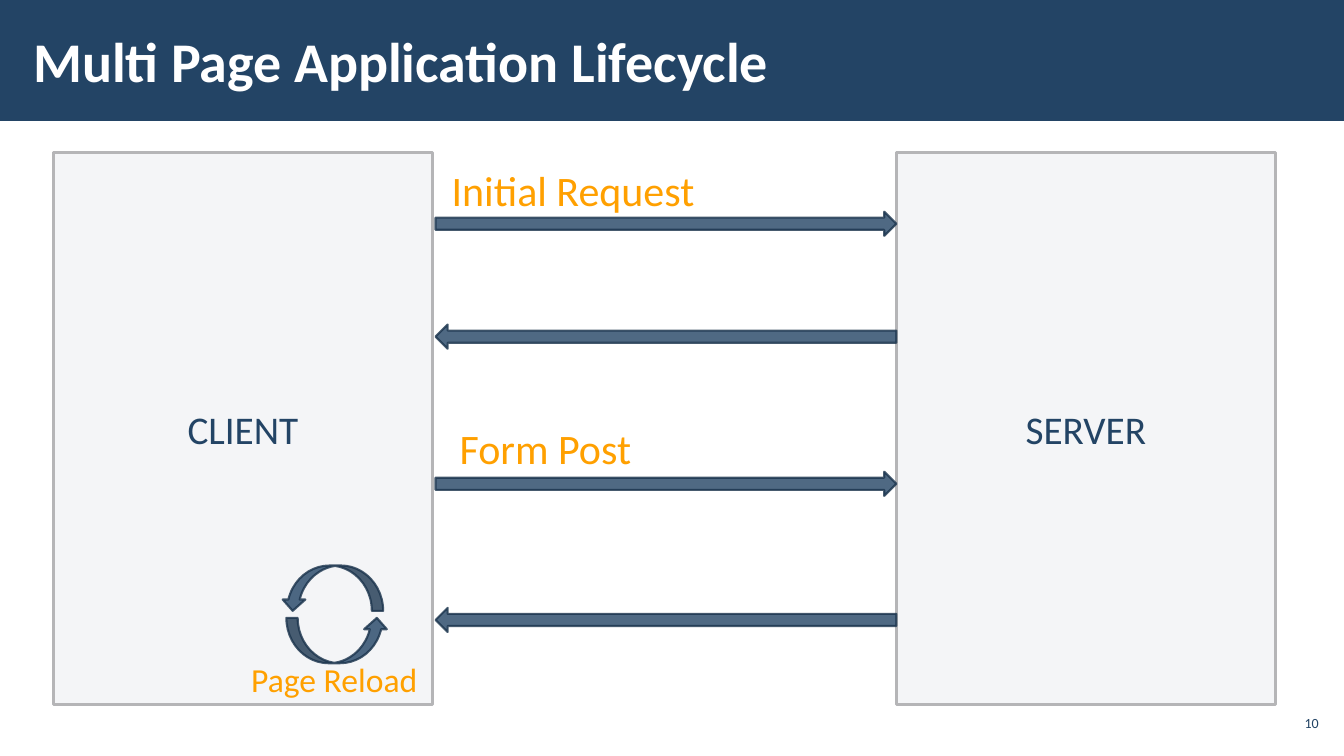
from lxml.etree import SubElement
from pptx import Presentation
from pptx.dml.color import RGBColor
from pptx.enum.shapes import MSO_SHAPE as Shape
from pptx.enum.text import MSO_ANCHOR as Anchor, PP_ALIGN as Align
from pptx.oxml.ns import qn
from pptx.util import Pt

PX = 9144  # EMU per px, 100 px to the inch
FONT = "Calibri"
COLORS = {
    "navy": "234465",
    "outline": "1A334C",
    "panel": "F4F5F7",
    "border": "B5B5B7",
    "orange": "FFA000",
    "white": "FFFFFF",
}


def color(name):
    return RGBColor.from_string(COLORS[name])


def write(shape, text, size, color_name, align=Align.CENTER, bold=False):
    paragraph = shape.text_frame.paragraphs[0]
    paragraph.text = text
    paragraph.alignment = align
    font = paragraph.font
    font.name, font.size, font.bold = FONT, Pt(size), bold
    font.color.rgb = color(color_name)


def add_shape(slide, kind, box, fill, line=None, width=0):
    shape = slide.shapes.add_shape(kind, *(n * PX for n in box))
    shape.shadow.inherit = False
    shape.fill.solid()
    shape.fill.fore_color.rgb = color(fill)
    if line:
        shape.line.color.rgb = color(line)
        shape.line.width = Pt(width)
    else:
        shape.line.fill.background()
    return shape


def add_label(slide, box, text, size, color_name, align=Align.CENTER,
              bold=False, anchor=Anchor.TOP, wrap=False, insets=(10, 5)):
    label = slide.shapes.add_textbox(*(n * PX for n in box))
    frame = label.text_frame
    frame.word_wrap = wrap
    frame.vertical_anchor = anchor
    frame.margin_left = frame.margin_right = insets[0] * PX
    frame.margin_top = frame.margin_bottom = insets[1] * PX
    write(label, text, size, color_name, align, bold)


def add_arrow(slide, kind, box, reverse=False):
    arrow = add_shape(slide, kind, box, "navy", "outline", 1.5)
    arrow.rotation = 180 if reverse else 0
    # 80 % opacity on fill and outline
    for tint in arrow.fill._xPr.iter(qn("a:srgbClr")):
        SubElement(tint, qn("a:alpha"), val="80000")


def add_header(slide, box, title):
    left, top, width, height = box
    add_shape(slide, Shape.RECTANGLE, box, "navy")
    add_label(slide, (left + 21, top + 11, 1040, height - 23), title, 40, "white",
              Align.LEFT, True, Anchor.MIDDLE, True, (12, 4))


def add_page_number(slide, box, number):
    add_label(slide, box, number, 10, "navy", Align.RIGHT,
              anchor=Anchor.MIDDLE, wrap=True, insets=(4, 4))


def add_panel(slide, box, name):
    panel = add_shape(slide, Shape.RECTANGLE, box, "panel", "border", 2)
    panel.text_frame.vertical_anchor = Anchor.MIDDLE
    write(panel, name, 28, "navy")


def add_messages(slide, box):
    left, top, width, _ = box
    # Requests run to the right, responses back to the left
    for offset, reverse in ((59, False), (171, True), (317, False), (452, True)):
        add_arrow(slide, Shape.RIGHT_ARROW, (left, top + offset, width, 24), reverse)
    add_label(slide, (left + 5, top + 7, 263, 61), "Initial Request", 30, "orange")
    add_label(slide, (left + 13, top + 263, 192, 61), "Form Post", 30, "orange")


def add_reload(slide, box):
    left, top, width, height = box
    # Two curved arrows form the loop
    for x, y, reverse in ((41, 0, True), (46, 52, False)):
        add_arrow(slide, Shape.CURVED_UP_ARROW, (left + x, top + y, 101, 45), reverse)
    add_label(slide, (left, top + height - 50, width, 50), "Page Reload", 24, "orange")


def build_lifecycle_slide(presentation):
    slide = presentation.slides.add_slide(presentation.slide_layouts[6])
    add_header(slide, (0, 0, 1333, 120), "Multi Page Application Lifecycle")
    add_page_number(slide, (1265, 700, 47, 34), "10")
    for left, name in ((53, "CLIENT"), (889, "SERVER")):
        add_panel(slide, (left, 151, 376, 548), name)
    add_messages(slide, (432, 151, 457, 548))
    add_reload(slide, (238, 561, 187, 138))


def main():
    presentation = Presentation()
    presentation.slide_width = 1333 * PX
    presentation.slide_height = 750 * PX
    build_lifecycle_slide(presentation)
    presentation.save("out.pptx")


if __name__ == "__main__":
    main()
